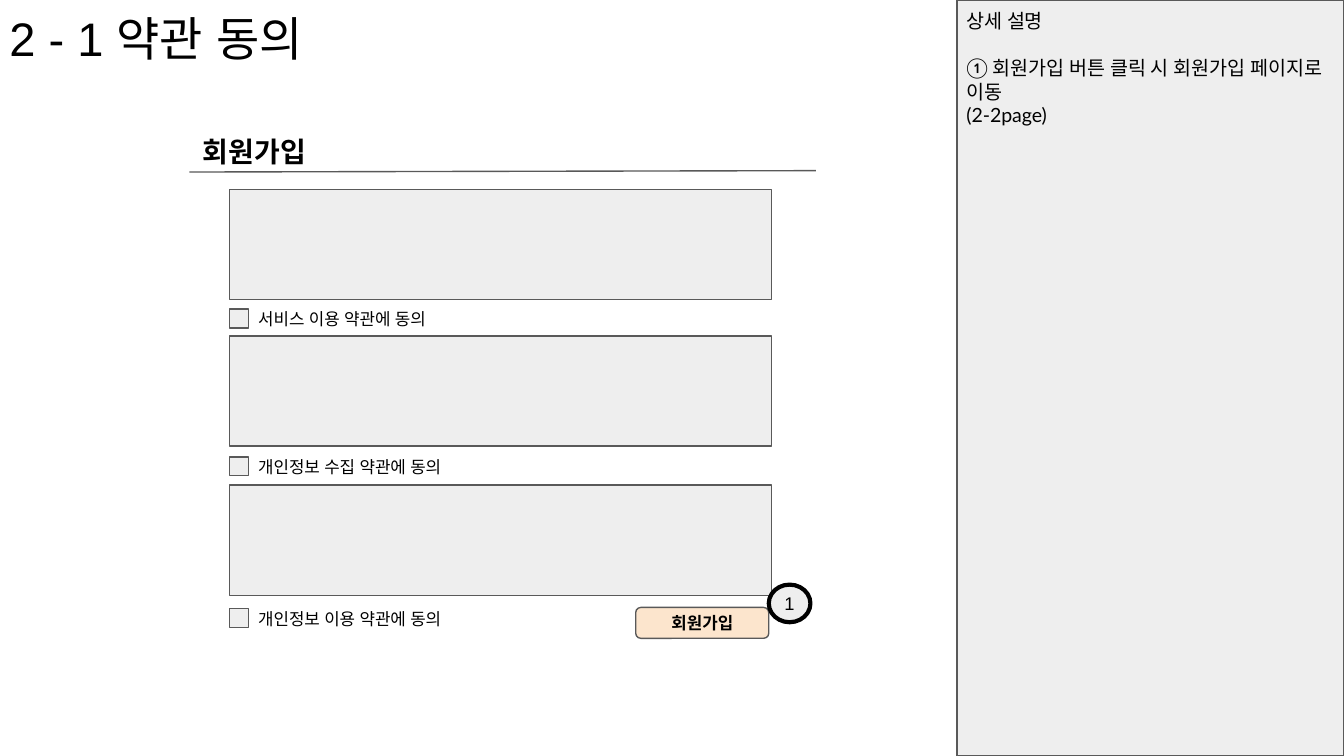
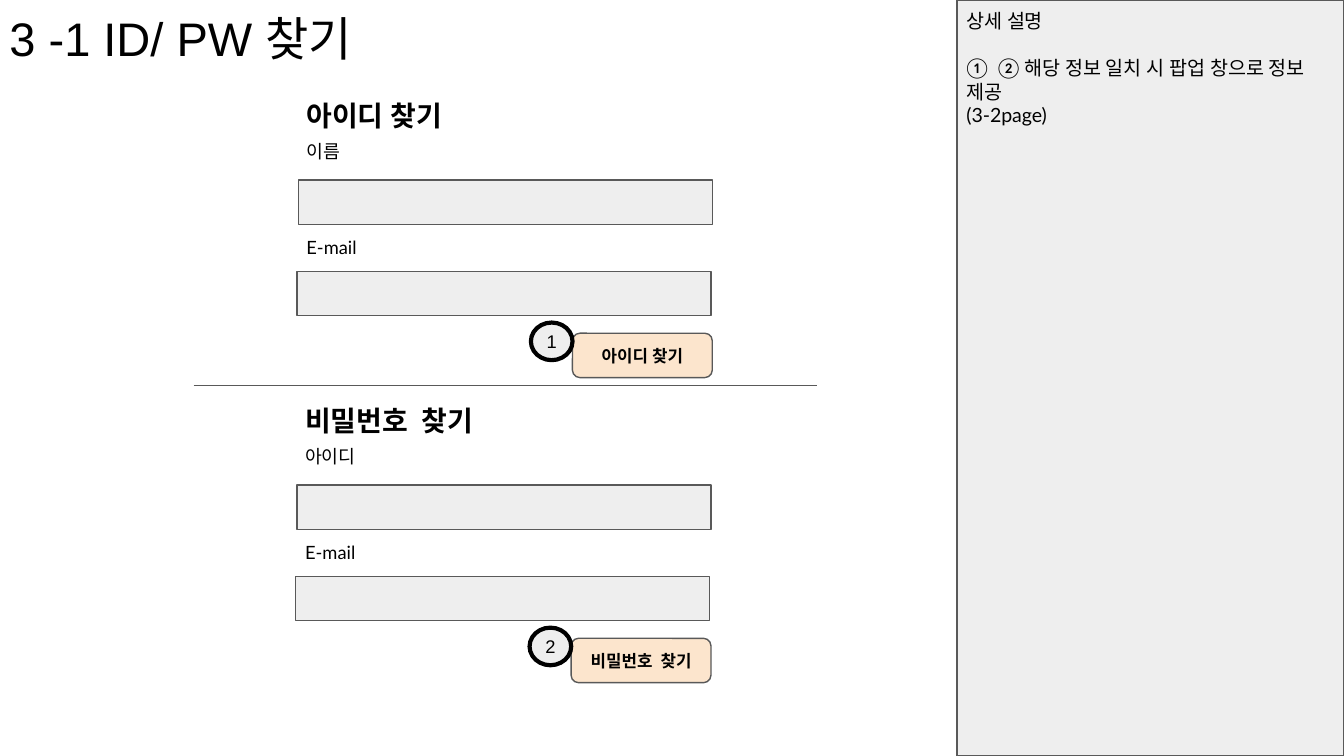
import dataclasses

import pptx
import pptx.dml.color
import pptx.enum.shapes
import pptx.enum.text
import pptx.oxml.ns
import pptx.util
from lxml import etree

Inches = pptx.util.Inches
Kind = pptx.enum.shapes.MSO_SHAPE
Align = pptx.enum.text.PP_ALIGN
Anchor = pptx.enum.text.MSO_ANCHOR
tag = pptx.oxml.ns.qn

WIDE = 10
HIGH = WIDE * 9 / 16


@dataclasses.dataclass(frozen=True)
class Theme:
    ink: str = "000000"
    gray: str = "EEEEEE"
    edge: str = "595959"
    peach: str = "FCE5CD"
    body: str = "Lato"
    plain: str = "Arial"
    title: float = 25.2
    head: float = 15
    note: float = 10.5
    label: float = 9.8
    small: float = 9
    thin: float = 0.75
    thick: float = 2.25
    inset: float = 0.07


THEME = Theme()


def paint(code):
    return pptx.dml.color.RGBColor.from_string(code)


def write(shape, lines, size, font=THEME.body, bold=False, align=Align.LEFT, anchor=Anchor.TOP):
    frame = shape.text_frame
    frame.word_wrap = True
    frame.auto_size = pptx.enum.text.MSO_AUTO_SIZE.NONE
    frame.vertical_anchor = anchor
    for side in ("left", "top", "right", "bottom"):
        setattr(frame, f"margin_{side}", Inches(THEME.inset))
    frame.text = "\n".join(lines)
    for para in frame.paragraphs:
        para.alignment = align
        para.font.name = font
        para.font.size = pptx.util.Pt(size)
        para.font.bold = bold
        para.font.color.rgb = paint(THEME.ink)
    for latin in list(shape.element.iter(tag("a:latin"))):
        asian = etree.Element(tag("a:ea"), typeface=font)
        latin.addnext(asian)


def add_text(slide, box, text, size, bold=False):
    write(slide.shapes.add_textbox(*map(Inches, box)), [text], size, bold=bold)


def add_box(slide, box, kind=Kind.RECTANGLE, fill=THEME.gray, edge=THEME.edge, width=THEME.thin):
    shape = slide.shapes.add_shape(kind, *map(Inches, box))
    shape.shadow.inherit = False
    shape.fill.solid()
    shape.fill.fore_color.rgb = paint(fill)
    shape.line.color.rgb = paint(edge)
    shape.line.width = pptx.util.Pt(width)
    return shape


def add_rule(slide, start, end):
    line = slide.shapes.add_connector(
        pptx.enum.shapes.MSO_CONNECTOR.STRAIGHT, *map(Inches, start + end))
    line.line.color.rgb = paint(THEME.edge)
    line.line.width = pptx.util.Pt(THEME.thin)
    props = line.element.find(tag("p:spPr"))
    etree.SubElement(props, tag("a:effectLst"))


def add_button(slide, box, text):
    shape = add_box(slide, box, Kind.ROUNDED_RECTANGLE, THEME.peach)
    write(shape, [text], THEME.small, bold=True, align=Align.CENTER, anchor=Anchor.MIDDLE)


def add_badge(slide, left, top, number):
    shape = add_box(slide, (left, top, 0.31, 0.28), Kind.OVAL,
                    edge=THEME.ink, width=THEME.thick)
    write(shape, [str(number)], THEME.label, THEME.plain,
          align=Align.CENTER, anchor=Anchor.MIDDLE)


def add_page(deck, title, notes):
    slide = deck.slides.add_slide(deck.slide_layouts.get_by_name("Title Only"))
    head = slide.shapes.title
    head.left, head.top, head.width, head.height = map(Inches, (0, 0, 6.31, 0.44))
    write(head, [title], THEME.title, THEME.plain)
    panel = add_box(slide, (7.12, 0, 2.88, HIGH))
    write(panel, ["상세 설명", *notes], THEME.note)
    panel.text_frame.paragraphs[1].space_before = pptx.util.Pt(12.6)
    return slide


def add_term(slide, left, top, text, drop):
    add_box(slide, (left, top, 4.03, 0.82))
    add_box(slide, (left, top + drop, 0.14, 0.14))
    add_text(slide, (left + 0.14, top + drop - 0.07, 1.69, 0.28), text, THEME.small)


def add_signup(slide, left, top):
    add_text(slide, (left + 0.03, top, 1.1, 0.33), "회원가입", THEME.head, bold=True)
    add_rule(slide, (left, top + 0.35), (left + 4.66, top + 0.34))
    terms = [
        ("서비스 이용 약관에 동의", 0.48, 0.89),
        ("개인정보 수집 약관에 동의", 1.57, 0.9),
        ("개인정보 이용 약관에 동의", 2.68, 0.92),
    ]
    for text, down, drop in terms:
        add_term(slide, left + 0.3, top + down, text, drop)
    add_button(slide, (left + 3.32, top + 3.59, 0.99, 0.23), "회원가입")
    add_badge(slide, left + 4.31, top + 3.42, 1)


def add_finder(slide, left, top, title, labels, number):
    add_text(slide, (left, top, 1.55, 0.33), title, THEME.head, bold=True)
    for row, label in enumerate(labels):
        add_text(slide, (left, top + 0.31 + 0.72 * row, 1.25, 0.33), label, THEME.label)
        add_box(slide, (left + 0.01 * (1 - row), top + 0.68 * (row + 1), 3.08, 0.33))
    add_button(slide, (left + 2.05, top + 1.82, 1.04, 0.33), title)
    add_badge(slide, left + 1.74, top + 1.74, number)


def main():
    deck = pptx.Presentation()
    deck.slide_width, deck.slide_height = Inches(WIDE), Inches(HIGH)

    terms = add_page(deck, "2 - 1 약관 동의",
                     ["① 회원가입 버튼 클릭 시 회원가입 페이지로 이동", "(2-2page)"])
    add_signup(terms, 1.41, 0.93)

    find = add_page(deck, "3 -1 ID/ PW 찾기",
                    ["①  ② 해당 정보 일치 시 팝업 창으로 정보 제공", "(3-2page)"])
    add_finder(find, 2.21, 0.66, "아이디 찾기", ("이름", "E-mail"), 1)
    add_rule(find, (1.44, 2.87), (6.08, 2.87))
    add_finder(find, 2.2, 2.93, "비밀번호  찾기", ("아이디", "E-mail"), 2)

    deck.save("out.pptx")


if __name__ == "__main__":
    main()
